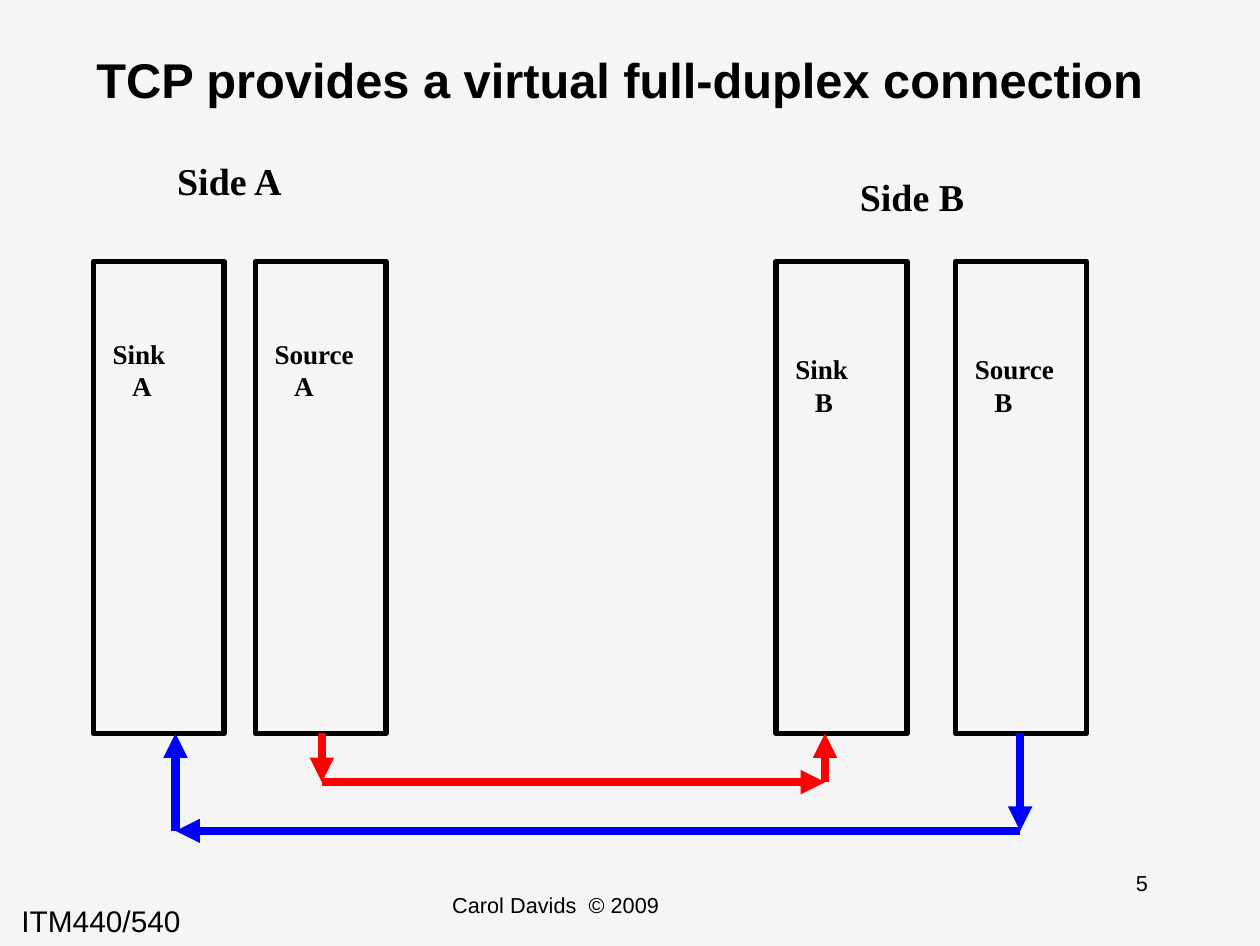
from dataclasses import dataclass

from pptx import Presentation
from pptx.dml.color import RGBColor
from pptx.enum.shapes import MSO_CONNECTOR, MSO_SHAPE
from pptx.enum.text import MSO_ANCHOR, PP_ALIGN
from pptx.oxml.ns import qn
from pptx.oxml.xmlchemy import OxmlElement
from pptx.slide import Slide
from pptx.util import Inches, Pt

LEFT, CENTER = PP_ALIGN.LEFT, PP_ALIGN.CENTER
TOP, MIDDLE = MSO_ANCHOR.TOP, MSO_ANCHOR.MIDDLE
RECTANGLE = MSO_SHAPE.RECTANGLE
STRAIGHT = MSO_CONNECTOR.STRAIGHT

COLORS = {"background": "F5F5F5", "ink": "000000", "a_to_b": "FF0000", "b_to_a": "0000FF"}
SANS, SERIF = "Arial", "Times New Roman"

COLUMN_TOP, COLUMN_WIDTH, COLUMN_HEIGHT = 1.34, 0.67, 2.42
COLUMN_BOTTOM = COLUMN_TOP + COLUMN_HEIGHT
LABEL_HEIGHT = 0.44
SIDE_INDENT = 0.1


@dataclass
class Label:
    text: str
    left: float
    top: float
    width: float
    height: float
    size: float
    font: str = SANS
    bold: bool = False
    align: PP_ALIGN = LEFT
    anchor: MSO_ANCHOR = TOP
    inset_x: float = 0.06
    inset_y: float = 0.03


@dataclass
class Column:
    role: str
    side: str
    left: float
    label_top: float


@dataclass
class Route:
    color: str
    start_x: float
    end_x: float
    depth: float


LABELS = [
    Label("ITM440/540", 0, 4.58, 2.1, 0.29, 11, inset_x=0.11, inset_y=0.05),
    Label("5", 5.35, 4.43, 1.01, 0.32, 8, align=CENTER),
    Label("Carol Davids  © 2009", 1.72, 4.54, 2.26, 0.32, 8, align=CENTER),
    Label("TCP provides a virtual full-duplex connection", 0.26, 0, 5.84, 0.81, 18,
          bold=True, align=CENTER, anchor=MIDDLE),
    Label("Side A", 0.81, 0.76, 0.92, 0.34, 14, SERIF, True, inset_x=0.1, inset_y=0.05),
    Label("Side B", 4.31, 0.84, 0.92, 0.34, 14, SERIF, True, inset_x=0.1, inset_y=0.05),
]

COLUMNS = [
    Column("Sink", "A", 0.48, 1.68),
    Column("Source", "A", 1.31, 1.68),
    Column("Sink", "B", 3.98, 1.76),
    Column("Source", "B", 4.9, 1.76),
]

ROUTES = [
    Route("a_to_b", 1.65, 4.23, 0.25),
    Route("b_to_a", 5.23, 0.9, 0.5),
]


def color(name: str) -> RGBColor:
    return RGBColor.from_string(COLORS[name])


def add_label(page: Slide, label: Label, second_line_indent: float = 0) -> None:
    box = page.shapes.add_textbox(Inches(label.left), Inches(label.top),
                                  Inches(label.width), Inches(label.height))
    frame = box.text_frame
    frame.word_wrap = True
    frame.vertical_anchor = label.anchor
    frame.margin_left = frame.margin_right = Inches(label.inset_x)
    frame.margin_top = frame.margin_bottom = Inches(label.inset_y)
    frame.text = label.text
    for para in frame.paragraphs:
        para.alignment = label.align
        para.font.name = label.font
        para.font.size = Pt(label.size)
        para.font.bold = label.bold
        para.font.color.rgb = color("ink")
    for para in frame.paragraphs[1:]:
        para._p.get_or_add_pPr().set("marL", str(Inches(second_line_indent)))


def add_column(page: Slide, column: Column) -> None:
    box = page.shapes.add_shape(RECTANGLE, Inches(column.left), Inches(COLUMN_TOP),
                                Inches(COLUMN_WIDTH), Inches(COLUMN_HEIGHT))
    box.shadow.inherit = False
    box.fill.background()
    box.line.color.rgb = color("ink")
    box.line.width = Pt(2)
    label = Label(f"{column.role}\n{column.side}", column.left, column.label_top,
                  COLUMN_WIDTH, LABEL_HEIGHT, 10, SERIF, True, inset_x=0.1, inset_y=0.05)
    add_label(page, label, SIDE_INDENT)


def add_arrow(page: Slide, start: tuple[float, float], end: tuple[float, float],
              color_name: str) -> None:
    arrow = page.shapes.add_connector(STRAIGHT, *map(Inches, start + end))
    arrow.line.color.rgb = color(color_name)
    arrow.line.width = Pt(3)
    properties = arrow.element.spPr
    head = OxmlElement("a:tailEnd")
    head.set("type", "triangle")
    properties.find(qn("a:ln")).append(head)
    properties.append(OxmlElement("a:effectLst"))


def add_route(page: Slide, route: Route) -> None:
    low = COLUMN_BOTTOM + route.depth
    points = [(route.start_x, COLUMN_BOTTOM), (route.start_x, low),
              (route.end_x, low), (route.end_x, COLUMN_BOTTOM)]
    for start, end in zip(points, points[1:]):
        add_arrow(page, start, end, route.color)


def main() -> None:
    deck = Presentation()
    deck.slide_width, deck.slide_height = Inches(6.46), Inches(4.85)
    page = deck.slides.add_slide(deck.slide_layouts[6])
    page.background.fill.solid()
    page.background.fill.fore_color.rgb = color("background")

    # Title, side headings and footer
    for label in LABELS:
        add_label(page, label)

    # Sink and source columns
    for column in COLUMNS:
        add_column(page, column)

    # One route in each direction
    for route in ROUTES:
        add_route(page, route)

    deck.save("out.pptx")


if __name__ == "__main__":
    main()
